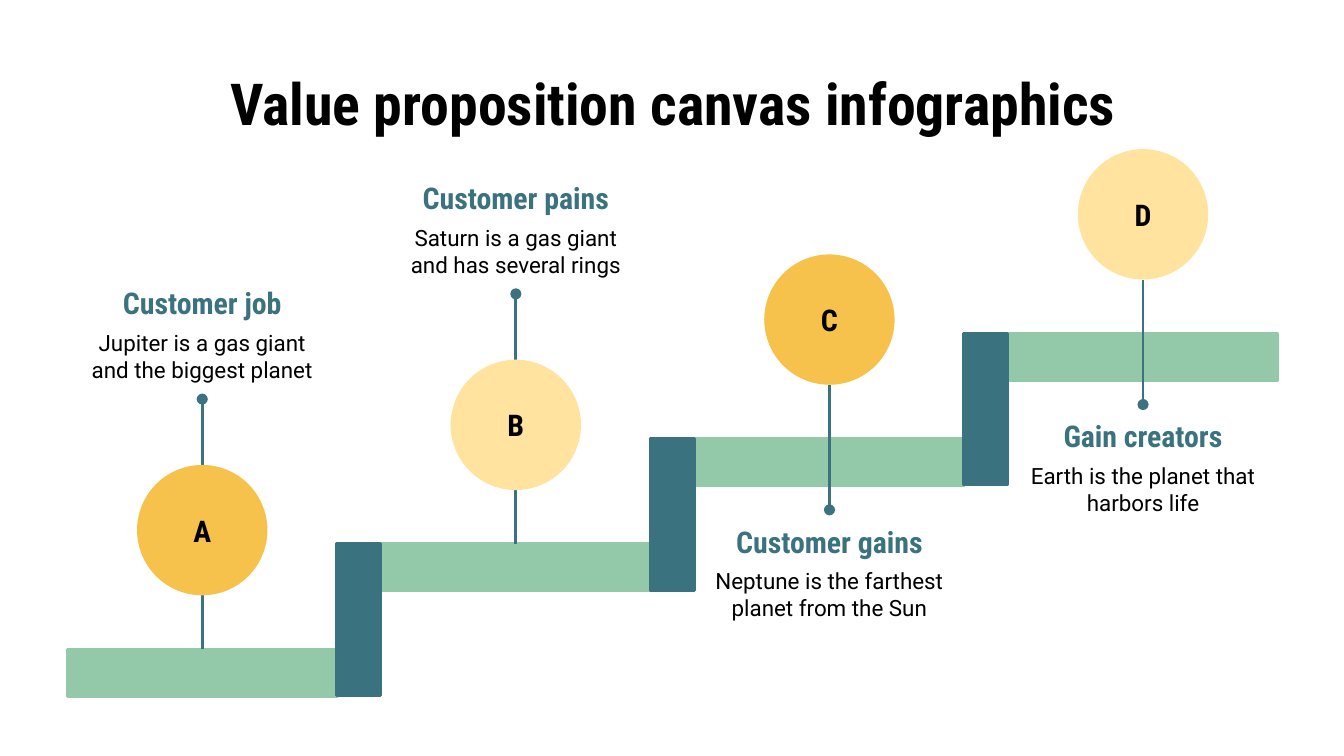
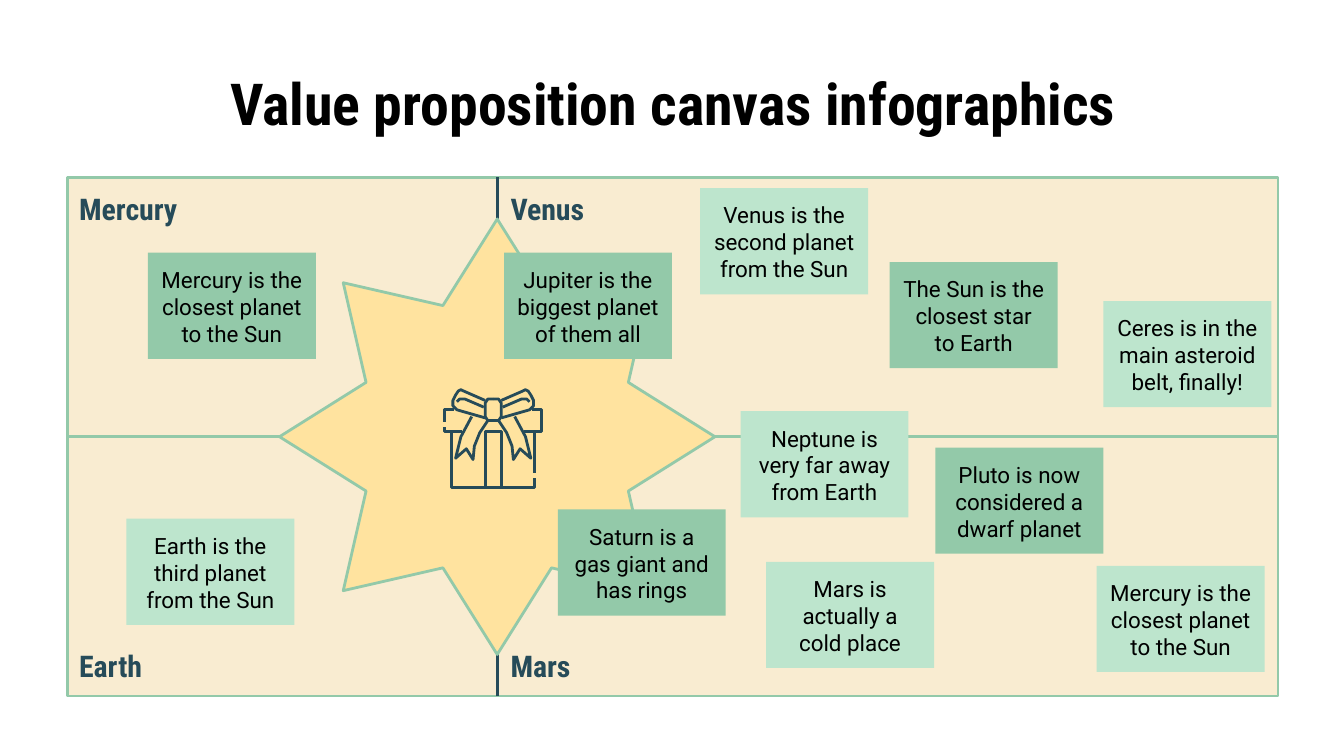
from dataclasses import dataclass

from lxml import etree
from pptx import Presentation
from pptx.dml.color import RGBColor
from pptx.enum.shapes import MSO_CONNECTOR as Link, MSO_SHAPE as Preset
from pptx.enum.text import MSO_ANCHOR as Anchor, PP_ALIGN as Align
from pptx.oxml.ns import qn
from pptx.shapes.autoshape import Shape
from pptx.shapes.connector import Connector
from pptx.slide import Slide
from pptx.util import Inches, Pt

SLIDE_WIDTH = 10
SLIDE_HEIGHT = SLIDE_WIDTH * 9 / 16
BLACK = "000000"
TEAL = "3A727F"
NAVY = "264B59"
GREEN = "93C9A9"
MINT = "BDE5CD"
AMBER = "F7C24B"
YELLOW = "FFE39F"
CREAM = "F9ECD1"
BODY_FONT = "Roboto"
HEADING_FONT = "Roboto Condensed"
STROKE = Pt(1.5)
TITLE = "Value proposition canvas infographics"


@dataclass(frozen=True)
class Box:
    left: float
    top: float
    width: float
    height: float

    def lengths(self) -> tuple[Inches, ...]:
        return tuple(Inches(n) for n in (self.left, self.top, self.width, self.height))


@dataclass(frozen=True)
class Step:
    letter: str
    heading: str
    description: str
    disc_fill: str
    text_above: bool


@dataclass(frozen=True)
class Note:
    left: float
    top: float
    text: str
    fill: str


STEPS = [
    Step("A", "Customer job", "Jupiter is a gas giant and the biggest planet", AMBER, True),
    Step("B", "Customer pains", "Saturn is a gas giant and has several rings", YELLOW, True),
    Step("C", "Customer gains", "Neptune is the farthest planet from the Sun", AMBER, False),
    Step("D", "Gain creators", "Earth is the planet that harbors life", YELLOW, False),
]
STEP_RUN = 7 / 3
STEP_RISE = 2.35 / 3
TREAD_WIDTH, TREAD_HEIGHT = 2.01, 0.35
RISER_WIDTH, RISER_HEIGHT = 0.33, 1.13
DISC_SIZE = 0.97

CANVAS = Box(0.5, 1.32, 9.01, 3.86)
DIVIDER_X = 3.7
QUADRANTS = [("Venus", 3.7, 1.32), ("Mars", 3.7, 4.72),
             ("Mercury", 0.49, 1.32), ("Earth", 0.49, 4.72)]
NOTES = [
    Note(0.94, 3.86, "Earth is the third planet from the Sun", MINT),
    Note(8.21, 2.24, "Ceres is in the main asteroid belt, finally!", MINT),
    Note(1.1, 1.88, "Mercury is the closest planet to the Sun", GREEN),
    Note(3.75, 1.88, "Jupiter is the biggest planet of them all", GREEN),
    Note(6.62, 1.95, "The Sun is the closest star to Earth", GREEN),
    Note(6.96, 3.33, "Pluto is now considered a dwarf planet", GREEN),
    Note(5.51, 3.06, "Neptune is very far away from Earth", MINT),
    Note(5.7, 4.18, "Mars is actually a cold place", MINT),
    Note(5.21, 1.4, "Venus is the second planet from the Sun", MINT),
    Note(4.15, 3.79, "Saturn is a gas giant and has rings", GREEN),
    Note(8.16, 4.21, "Mercury is the closest planet to the Sun", MINT),
]

GIFT_CENTER = 3.67
GIFT_LEFT_HALF = [
    [(3.61, 2.98), (3.45, 2.91), (3.43, 2.9), (3.41, 2.91), (3.39, 2.94),
     (3.37, 2.98), (3.37, 3.02), (3.4, 3.05), (3.61, 3.11)],
    [(3.4, 2.99), (3.42, 2.97), (3.46, 2.97), (3.53, 3), (3.6, 3.03)],
    [(3.63, 3.13), (3.57, 3.22), (3.53, 3.32), (3.52, 3.42), (3.47, 3.34),
     (3.39, 3.41), (3.43, 3.25), (3.51, 3.1)],
    [(3.67, 2.97), (3.63, 2.97), (3.61, 3), (3.61, 3.1), (3.63, 3.13), (3.67, 3.13)],
    [(3.67, 3.21), (3.61, 3.21), (3.61, 3.63)],
]
GIFT_SINGLE = [
    [(3.38, 3.05), (3.31, 3.05), (3.31, 3.14)],
    [(3.31, 3.18), (3.31, 3.21), (3.44, 3.21)],
    [(3.96, 3.05), (4.03, 3.05), (4.03, 3.21), (3.9, 3.21)],
    [(3.36, 3.21), (3.36, 3.63), (3.98, 3.63), (3.98, 3.56)],
    [(3.98, 3.52), (3.98, 3.21)],
]


def color(value: str) -> RGBColor:
    return RGBColor.from_string(value)


def write(shape: Shape, text: str, *, size: float = 12, font: str = BODY_FONT,
          ink: str = BLACK, bold: bool = False, align: Align = Align.CENTER,
          anchor: Anchor = Anchor.TOP) -> None:
    frame = shape.text_frame
    frame.word_wrap = True
    frame.vertical_anchor = anchor
    frame.margin_left = frame.margin_right = Inches(0.1)
    frame.margin_top = frame.margin_bottom = Inches(0.1)
    paragraph = frame.paragraphs[0]
    paragraph.alignment = align
    run = paragraph.add_run()
    run.text = text
    run.font.size = Pt(size)
    run.font.name = font
    run.font.bold = bold
    run.font.color.rgb = color(ink)


def add_text(slide: Slide, box: Box, text: str, **style) -> Shape:
    label = slide.shapes.add_textbox(*box.lengths())
    write(label, text, **style)
    return label


def add_heading(slide: Slide, box: Box, text: str, **style) -> Shape:
    return add_text(slide, box, text, size=16, font=HEADING_FONT, bold=True, **style)


def add_preset(slide: Slide, preset: Preset, box: Box, fill: str,
               outline: str | None = None) -> Shape:
    shape = slide.shapes.add_shape(preset, *box.lengths())
    shape.shadow.inherit = False
    shape.fill.solid()
    shape.fill.fore_color.rgb = color(fill)
    if outline:
        shape.line.color.rgb = color(outline)
        shape.line.width = STROKE
    else:
        shape.line.fill.background()
    return shape


def add_line(slide: Slide, start: tuple[float, float], end: tuple[float, float],
             ink: str, dot_end: bool = False) -> Connector:
    line = slide.shapes.add_connector(Link.STRAIGHT, *(Inches(n) for n in start + end))
    line.line.color.rgb = color(ink)
    line.line.width = STROKE
    if dot_end:
        etree.SubElement(line.line._get_or_add_ln(), qn("a:tailEnd"), type="oval")
    etree.SubElement(line._element.spPr, qn("a:effectLst"))
    return line


def add_title(slide: Slide) -> None:
    add_text(slide, Box(0.5, 0.45, 9.01, 0.62), TITLE, size=31, font=HEADING_FONT,
             bold=True, anchor=Anchor.MIDDLE)


def add_step(slide: Slide, index: int, step: Step) -> None:
    left = 0.5 + index * STEP_RUN
    top = 4.83 - index * STEP_RISE
    center = left + TREAD_WIDTH / 2
    tread = add_preset(slide, Preset.RECTANGLE,
                       Box(left, top, TREAD_WIDTH, TREAD_HEIGHT), GREEN, GREEN)
    if index:
        add_preset(slide, Preset.RECTANGLE,
                   Box(left - RISER_WIDTH, top, RISER_WIDTH, RISER_HEIGHT), TEAL, TEAL)
    text_top = top - 2.48 if step.text_above else top + 0.86
    description = add_text(slide, Box(left, text_top, TREAD_WIDTH, 0.62), step.description)
    heading = add_heading(slide, Box(left, text_top - 0.33, TREAD_WIDTH, 0.48),
                          step.heading, ink=TEAL)
    disc_top = top - 1.37
    if step.text_above:
        pin = add_line(slide, (center, top), (center, text_top + 0.62), TEAL, dot_end=True)
        pin.begin_connect(tread, 0)
        pin.end_connect(description, 2)
    else:
        pin = add_line(slide, (center, disc_top + DISC_SIZE), (center, text_top - 0.33),
                       TEAL, dot_end=True)
        pin.end_connect(heading, 0)
    disc = add_preset(slide, Preset.OVAL,
                      Box(center - DISC_SIZE / 2, disc_top, DISC_SIZE, DISC_SIZE),
                      step.disc_fill)
    write(disc, step.letter, size=16, font=HEADING_FONT, bold=True, anchor=Anchor.MIDDLE)


def add_gift(slide: Slide) -> None:
    mirrored = [[(2 * GIFT_CENTER - x, y) for x, y in stroke] for stroke in GIFT_LEFT_HALF]
    strokes = [[(Inches(x), Inches(y)) for x, y in stroke]
               for stroke in GIFT_LEFT_HALF + mirrored + GIFT_SINGLE]
    builder = slide.shapes.build_freeform(*strokes[0][0])
    for number, stroke in enumerate(strokes):
        if number:
            builder.move_to(*stroke[0])
        builder.add_line_segments(stroke[1:], close=False)
    gift = builder.convert_to_shape()
    gift.shadow.inherit = False
    gift.fill.background()
    gift.line.color.rgb = color(NAVY)
    gift.line.width = STROKE


def build_staircase(slide: Slide) -> None:
    add_title(slide)
    for index, step in enumerate(STEPS):
        add_step(slide, index, step)


def build_canvas(slide: Slide) -> None:
    canvas = add_preset(slide, Preset.RECTANGLE, CANVAS, CREAM, GREEN)
    bottom = CANVAS.top + CANVAS.height
    middle = CANVAS.top + CANVAS.height / 2
    add_line(slide, (DIVIDER_X, bottom), (DIVIDER_X, CANVAS.top), NAVY)
    horizon = add_line(slide, (CANVAS.left, middle),
                       (CANVAS.left + CANVAS.width, middle), GREEN)
    horizon.begin_connect(canvas, 1)
    horizon.end_connect(canvas, 3)
    star = add_preset(slide, Preset.STAR_8_POINT, Box(2.08, 1.63, 3.24, 3.24), YELLOW, GREEN)
    star.adjustments[0] = 0.326
    for planet, left, top in QUADRANTS:
        add_heading(slide, Box(left, top, 1.38, 0.49), planet, ink=NAVY, align=Align.LEFT)
    add_title(slide)
    add_gift(slide)
    for note in NOTES:
        card = add_preset(slide, Preset.RECTANGLE, Box(note.left, note.top, 1.25, 0.79),
                          note.fill)
        write(card, note.text)


def main() -> None:
    deck = Presentation()
    deck.slide_width = Inches(SLIDE_WIDTH)
    deck.slide_height = Inches(SLIDE_HEIGHT)
    blank = deck.slide_layouts[6]
    for build in (build_staircase, build_canvas):
        build(deck.slides.add_slide(blank))
    deck.save("out.pptx")


if __name__ == "__main__":
    main()
